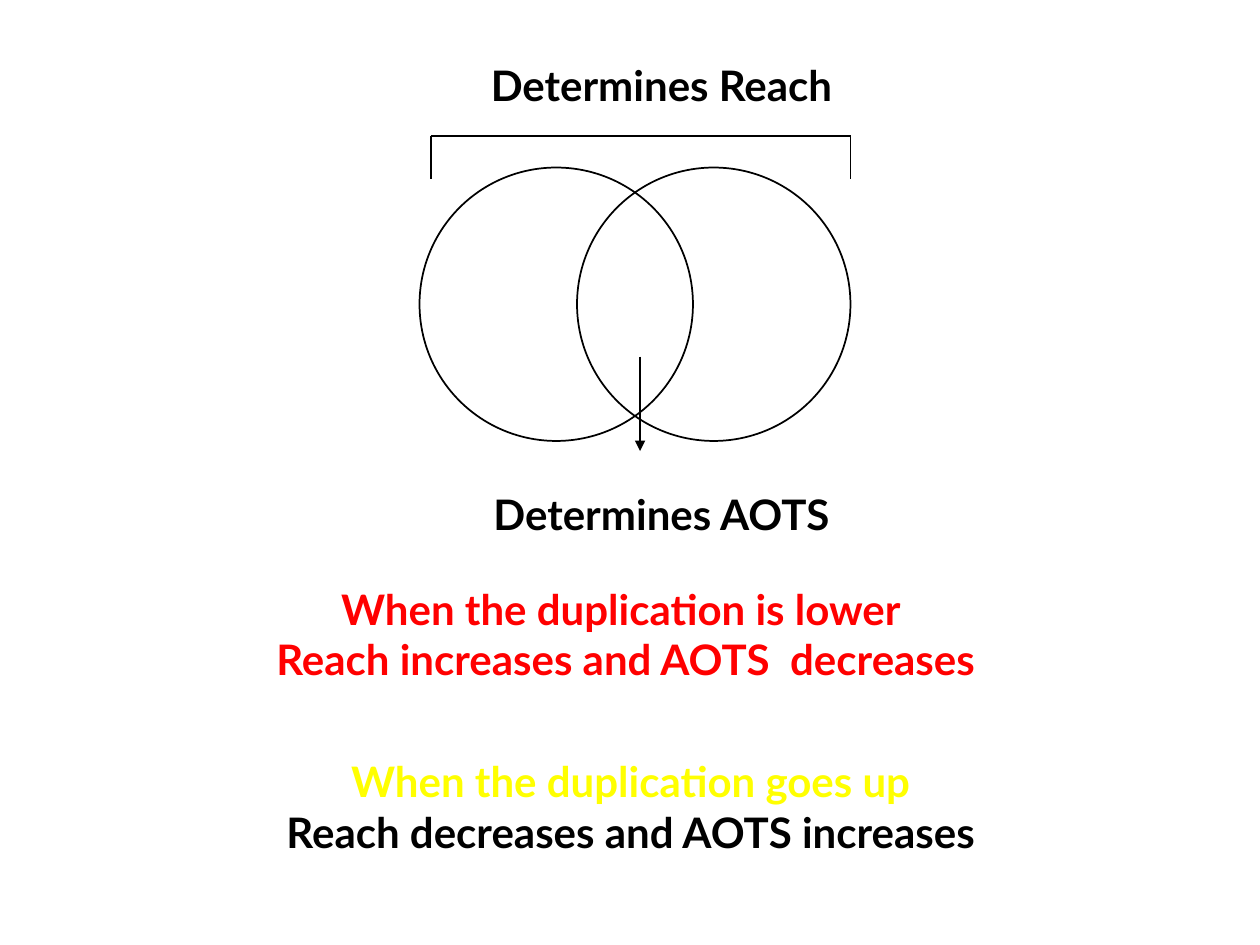
from typing import NamedTuple

from lxml.etree import SubElement
from pptx import Presentation
from pptx.dml.color import RGBColor
from pptx.enum.shapes import MSO_CONNECTOR, MSO_SHAPE
from pptx.enum.text import MSO_AUTO_SIZE, PP_ALIGN
from pptx.oxml.ns import qn
from pptx.util import Inches, Pt

BLACK, RED, YELLOW = "000000", "FF0000", "FFFF00"


class Row(NamedTuple):
    """One line of text and its colour."""
    text: str
    color: str = BLACK


class Label(NamedTuple):
    """A text box and its rows."""
    left: float
    top: float
    width: float
    height: float
    rows: tuple[Row, ...]


class Stroke(NamedTuple):
    """A straight line, with or without an arrowhead."""
    x1: float
    y1: float
    x2: float
    y2: float
    arrow: bool = False


LEFT, RIGHT, TOP, FOOT = 3.42, 6.75, 1.08, 1.42
CIRCLES = (3.33, 4.58)
STROKES = (
    Stroke(LEFT, FOOT, LEFT, TOP),
    Stroke(LEFT, TOP, RIGHT, TOP),
    Stroke(RIGHT, FOOT, RIGHT, TOP),
    Stroke(5.08, 2.83, 5.08, 3.58, arrow=True),
)
LABELS = (
    Label(1.75, 0.42, 7, 0.5, (Row("Determines Reach"),)),
    Label(1.75, 3.83, 7, 0.5, (Row("Determines AOTS"),)),
    Label(0, 4.58, 9.93, 0.9, (
        Row("When the duplication is lower ", RED),
        Row("Reach increases and AOTS  decreases", RED),
    )),
    Label(0, 5.95, 10.01, 0.9, (
        Row("When the duplication goes up", YELLOW),
        Row("Reach decreases and AOTS increases"),
    )),
)


def paint(code: str) -> RGBColor:
    """Turn a hex string into a colour."""
    return RGBColor.from_string(code)


def write(para, text: str, *, color: str = BLACK, size: float = 24,
          font: str = "Lato", bold: bool = True, align=PP_ALIGN.CENTER) -> None:
    """Add formatted text to a paragraph."""
    para.alignment = align
    run = para.add_run()
    run.text = text
    run.font.name = font
    run.font.size = Pt(size)
    run.font.bold = bold
    run.font.color.rgb = paint(color)


def draw_label(slide, label: Label) -> None:
    """Draw a text box with one paragraph per row."""
    frame = slide.shapes.add_textbox(*map(Inches, label[:4])).text_frame
    frame.word_wrap = True
    frame.auto_size = MSO_AUTO_SIZE.SHAPE_TO_FIT_TEXT
    for num, row in enumerate(label.rows):
        para = frame.add_paragraph() if num else frame.paragraphs[0]
        write(para, row.text, color=row.color)


def draw_circle(slide, left: float) -> None:
    """Draw one outlined audience circle."""
    size = Inches(2.17)
    shape = slide.shapes.add_shape(
        MSO_SHAPE.OVAL, Inches(left), Inches(1.33), size, size)
    shape.shadow.inherit = False
    shape.fill.background()
    shape.line.color.rgb = paint(BLACK)
    shape.line.width = Pt(1)


def draw_stroke(slide, stroke: Stroke) -> None:
    """Draw a thin line without a shadow."""
    link = slide.shapes.add_connector(
        MSO_CONNECTOR.STRAIGHT, *map(Inches, stroke[:4]))
    link.line.color.rgb = paint(BLACK)
    link.line.width = Pt(0.75)
    if stroke.arrow:
        SubElement(link.line._get_or_add_ln(), qn("a:tailEnd"), type="triangle")
    SubElement(link._element.spPr, qn("a:effectLst"))


def main() -> None:
    """Build and save the slide."""
    deck = Presentation()
    deck.slide_width, deck.slide_height = Inches(10), Inches(7.5)
    slide = deck.slides.add_slide(deck.slide_layouts[6])
    for left in CIRCLES:
        draw_circle(slide, left)
    for stroke in STROKES:
        draw_stroke(slide, stroke)
    for label in LABELS:
        draw_label(slide, label)
    deck.save("out.pptx")


if __name__ == "__main__":
    main()
